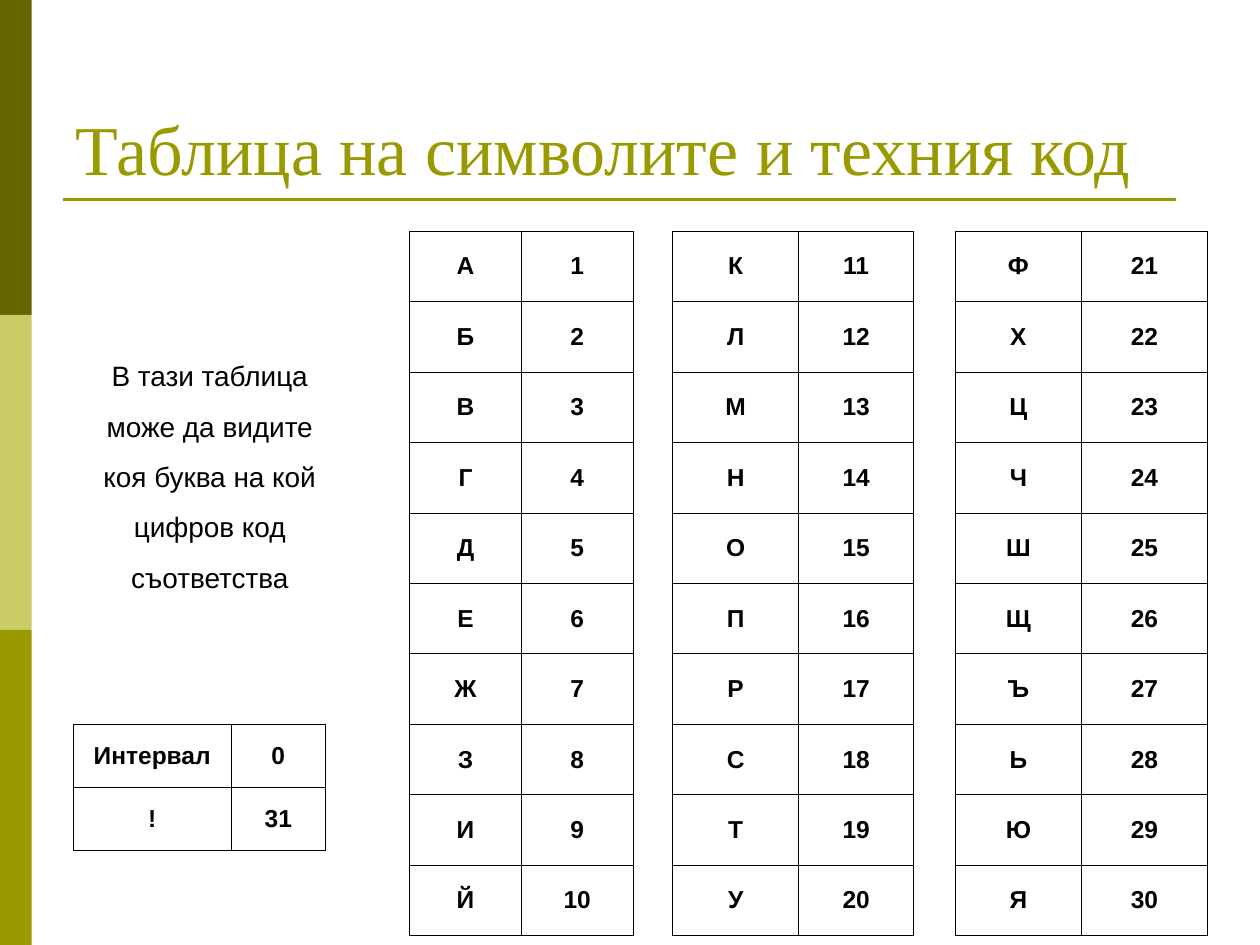
from lxml import etree
from pptx import Presentation
from pptx.dml.color import RGBColor
from pptx.enum.shapes import MSO_CONNECTOR, MSO_SHAPE
from pptx.enum.text import MSO_ANCHOR, MSO_AUTO_SIZE, PP_ALIGN
from pptx.oxml.ns import qn
from pptx.util import Cm, Pt

RECTANGLE = MSO_SHAPE.RECTANGLE
STRAIGHT = MSO_CONNECTOR.STRAIGHT
MIDDLE = MSO_ANCHOR.MIDDLE
BOTTOM = MSO_ANCHOR.BOTTOM
TOP = MSO_ANCHOR.TOP
LEFT = PP_ALIGN.LEFT
CENTER = PP_ALIGN.CENTER
NO_AUTOFIT = MSO_AUTO_SIZE.NONE
FIT_SHAPE = MSO_AUTO_SIZE.SHAPE_TO_FIT_TEXT

OLIVE = "999900"
BLACK = "000000"
BAND_COLORS = ["666600", "CCCC66", OLIVE]
LETTERS = "АБВГДЕЖЗИЙКЛМНОПРСТУФХЦЧШЩЪЬЮЯ"
ROWS_PER_GROUP = 10


def color(hex_string):
    return RGBColor.from_string(hex_string)


def format_text(text_frame, font_name, size, hex_color, alignment, bold=False):
    paragraph = text_frame.paragraphs[0]
    paragraph.alignment = alignment
    for run in paragraph.runs:
        run.font.name = font_name
        run.font.size = Pt(size)
        run.font.bold = bold
        run.font.color.rgb = color(hex_color)
    return paragraph


def add_side_bands(slide):
    height = 6.35
    for index, hex_color in enumerate(BAND_COLORS):
        band = slide.shapes.add_shape(RECTANGLE, 0, Cm(index * height), Cm(0.64), Cm(height))
        band.shadow.inherit = False
        band.fill.solid()
        band.fill.fore_color.rgb = color(hex_color)
        band.line.fill.background()


def add_title_rule(slide):
    rule = slide.shapes.add_connector(STRAIGHT, Cm(1.27), Cm(4.02), Cm(23.7), Cm(4.02))
    rule.line.color.rgb = color(OLIVE)
    rule.line.width = Pt(1.5)
    etree.SubElement(rule._element.spPr, qn("a:effectLst"))


def set_title(slide, text):
    title = slide.shapes.title
    title.left, title.top, title.width, title.height = Cm(1.27), Cm(0.76), Cm(24.13), Cm(3.18)
    text_frame = title.text_frame
    text_frame.text = text
    text_frame.word_wrap = True
    text_frame.auto_size = NO_AUTOFIT
    text_frame.vertical_anchor = BOTTOM
    format_text(text_frame, "Times New Roman", 40, OLIVE, LEFT)


def set_borders(cell, visible_sides):
    properties = cell._tc.get_or_add_tcPr()
    for side in "LRTB":
        line = etree.SubElement(properties, qn(f"a:ln{side}"), w=str(Pt(0.45)))
        if side in visible_sides:
            fill = etree.SubElement(line, qn("a:solidFill"))
            etree.SubElement(fill, qn("a:srgbClr"), val=BLACK)
        else:
            etree.SubElement(line, qn("a:noFill"))


def add_code_table(slide, left, top, column_widths, row_height, rows, space_before=0):
    frame = slide.shapes.add_table(
        len(rows), len(column_widths), Cm(left), Cm(top),
        Cm(sum(column_widths)), Cm(row_height * len(rows)))
    table = frame.table
    table.first_row = False
    table.horz_banding = False
    for column, width in zip(table.columns, column_widths):
        column.width = Cm(width)
    for row_index, values in enumerate(rows):
        table.rows[row_index].height = Cm(row_height)
        for column_index, value in enumerate(values):
            cell = table.cell(row_index, column_index)
            set_borders(cell, "LRTB" if value else "LR")
            cell.fill.background()
            cell.vertical_anchor = MIDDLE
            if value:
                cell.text_frame.text = value
                paragraph = format_text(cell.text_frame, "Arial", 14, BLACK, CENTER, bold=True)
                if space_before:
                    paragraph.space_before = Pt(space_before)


def alphabet_rows():
    rows = []
    for first in range(ROWS_PER_GROUP):
        row = []
        for index in range(first, len(LETTERS), ROWS_PER_GROUP):
            if row:
                row.append("")
            row += [LETTERS[index], str(index + 1)]
        rows.append(row)
    return rows


def add_explanation(slide, text):
    box = slide.shapes.add_textbox(Cm(1.48), Cm(6.77), Cm(5.5), Cm(5.33))
    text_frame = box.text_frame
    text_frame.text = text
    text_frame.word_wrap = True
    text_frame.auto_size = FIT_SHAPE
    text_frame.vertical_anchor = TOP
    paragraph = format_text(text_frame, "Arial", 16, BLACK, CENTER)
    paragraph.line_spacing = 1.5


def main():
    presentation = Presentation()
    presentation.slide_width = Cm(25.4)
    presentation.slide_height = Cm(19.05)
    slide = presentation.slides.add_slide(presentation.slide_layouts[5])
    add_side_bands(slide)
    add_title_rule(slide)
    set_title(slide, "Таблица на символите и техния код")
    add_code_table(slide, 8.26, 4.66, [2.25, 2.25, 0.8, 2.54, 2.32, 0.84, 2.54, 2.54],
                   1.42, alphabet_rows())
    add_code_table(slide, 1.48, 14.6, [3.18, 1.9], 1.27,
                   [["Интервал", "0"], ["!", "31"]], space_before=3.5)
    add_explanation(
        slide, "В тази таблица може да видите коя буква на кой цифров код съответства")
    presentation.save("out.pptx")


if __name__ == "__main__":
    main()
